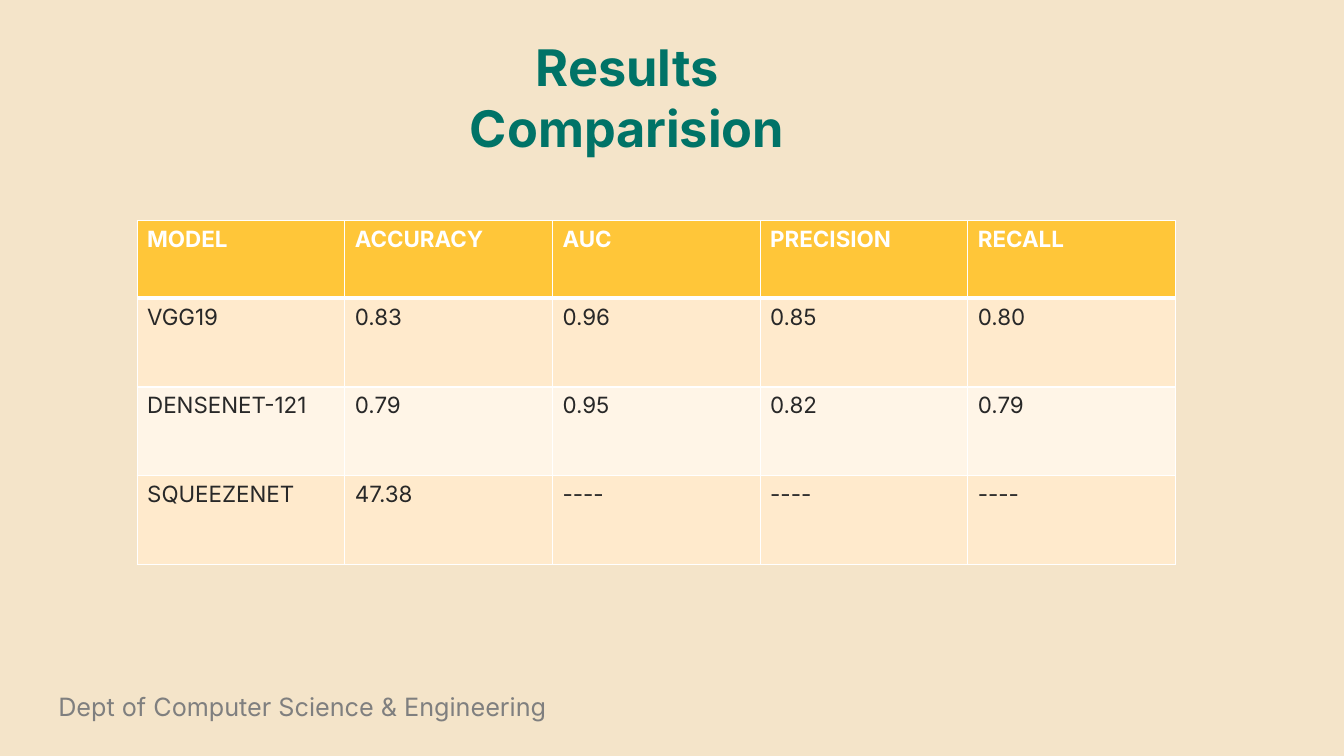
from dataclasses import dataclass

from lxml import etree
from pptx import Presentation
from pptx import util as u
from pptx.dml import color
from pptx.enum import text
from pptx.oxml import ns


@dataclass(frozen=True)
class Theme:
    font: str = "Inter"
    back: str = "F4E4C9"
    title: str = "007367"
    muted: str = "7F7F7F"
    ink: str = "282828"
    white: str = "FFFFFF"
    head: str = "FFC639"
    bands: tuple = ("FFEACC", "FFF5E7")
    large: int = 36
    small: int = 18
    body: int = 16
    thin: int = 1
    thick: int = 3


def px(count):
    return u.Emu(count * 9144)


def rgb(code):
    return color.RGBColor.from_string(code)


class Deck:
    """Draws styled elements on the current slide."""

    def __init__(self, theme, width, height):
        self.theme = theme
        self.file = Presentation()
        self.file.slide_width, self.file.slide_height = px(width), px(height)
        self.slide = self.file.slides.add_slide(self.file.slide_layouts[6])
        fill = self.slide.background.fill
        fill.solid()
        fill.fore_color.rgb = rgb(theme.back)

    def style(self, frame, size, tint, bold=False):
        for para in frame.paragraphs:
            for run in para.runs:
                font = run.font
                font.name, font.size, font.bold = self.theme.font, u.Pt(size), bold
                font.color.rgb = rgb(tint)

    def label(self, words, left, top, width, height, size, tint,
              bold=False, align=text.PP_ALIGN.LEFT):
        box = self.slide.shapes.add_textbox(*map(px, (left, top, width, height)))
        frame = box.text_frame
        frame.word_wrap = True
        frame.auto_size = text.MSO_AUTO_SIZE.SHAPE_TO_FIT_TEXT
        frame.text = words
        frame.paragraphs[0].alignment = align
        self.style(frame, size, tint, bold)

    def border(self, cell, **sides):
        props = cell._tc.get_or_add_tcPr()
        for side, width in sides.items():
            line = etree.SubElement(props, ns.qn(f"a:ln{side}"), w=str(u.Pt(width)))
            fill = etree.SubElement(line, ns.qn("a:solidFill"))
            etree.SubElement(fill, ns.qn("a:srgbClr"), val=self.theme.white)

    def table(self, data, left, top, width, heights):
        theme, count = self.theme, len(data[0])
        grid = self.slide.shapes.add_table(
            len(data), count, *map(px, (left, top, width, sum(heights)))).table
        for col in grid.columns:
            col.width = px(width // count)
        for r, (values, height) in enumerate(zip(data, heights)):
            grid.rows[r].height = px(height)
            head = r == 0
            shade = theme.head if head else theme.bands[(r - 1) % 2]
            for c, value in enumerate(values):
                cell = grid.cell(r, c)
                cell.text_frame.text = value
                self.style(cell.text_frame, theme.body,
                           theme.white if head else theme.ink, head)
                self.border(cell, L=theme.thin, R=theme.thin,
                            T=theme.thick if r == 1 else theme.thin,
                            B=theme.thick if head else theme.thin)
                cell.fill.solid()
                cell.fill.fore_color.rgb = rgb(shade)


RESULTS = [
    ("MODEL", "ACCURACY", "AUC", "PRECISION", "RECALL"),
    ("VGG19", "0.83", "0.96", "0.85", "0.80"),
    ("DENSENET-121", "0.79", "0.95", "0.82", "0.79"),
    ("SQUEEZENET", "47.38", "----", "----", "----"),
]


def main():
    theme = Theme()
    deck = Deck(theme, 1333, 750)
    deck.label("Results Comparision", 360, 31, 524, 131, theme.large, theme.title,
               bold=True, align=text.PP_ALIGN.CENTER)
    deck.label("Dept of Computer Science & Engineering", 48, 681, 524, 71,
               theme.small, theme.muted)
    deck.table(RESULTS, 136, 219, 1032, [77, 88, 88, 88])
    deck.file.save("out.pptx")


if __name__ == "__main__":
    main()
